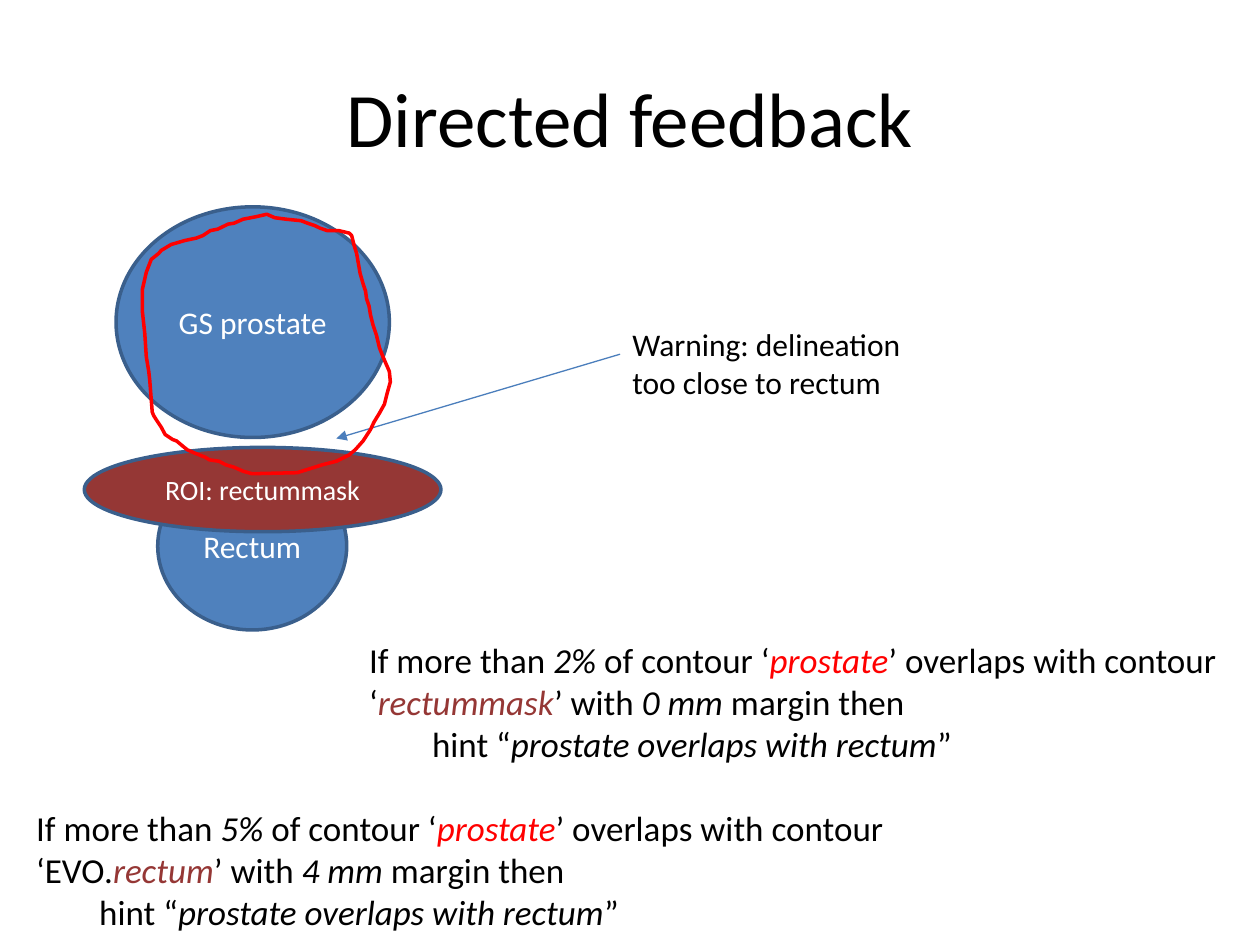
from pptx import Presentation, util as u
from pptx.dml.color import RGBColor
from pptx.enum import shapes, text
from pptx.oxml.ns import qn
from lxml import etree

Cm, Pt = u.Cm, u.Pt
FONT = "Calibri"
BLACK = RGBColor(0x00, 0x00, 0x00)
WHITE = RGBColor(0xFF, 0xFF, 0xFF)
RED = RGBColor(0xFF, 0x00, 0x00)
BLUE = RGBColor(0x4F, 0x81, 0xBD)
OUTLINE = RGBColor(0x3A, 0x5F, 0x8C)
ARROW = RGBColor(0x4B, 0x7E, 0xBC)
MAROON = RGBColor(0x95, 0x37, 0x35)

# Hand-drawn delineation, in cm from the diagram's top left corner
DELINEATION = [
    (3.68, 0.15), (3.46, 0.2), (3.2, 0.25), (3.02, 0.33), (2.9, 0.35), (2.69, 0.45),
    (2.54, 0.48), (2.39, 0.58), (2.26, 0.63), (2.03, 0.68), (1.75, 0.76), (1.55, 0.88),
    (1.5, 0.94), (1.35, 1.06), (1.25, 1.32), (1.17, 1.67), (1.17, 2.1), (1.22, 2.56),
    (1.25, 3.02), (1.3, 3.32), (1.32, 3.5), (1.37, 4.14), (1.4, 4.21), (1.45, 4.29),
    (1.55, 4.44), (1.63, 4.59), (1.78, 4.69), (1.86, 4.72), (1.98, 4.82), (2.08, 4.9),
    (2.24, 4.97), (2.44, 5.05), (2.52, 5.1), (2.72, 5.13), (2.85, 5.2), (3.02, 5.25),
    (3.2, 5.33), (3.38, 5.38), (4.29, 5.36), (4.55, 5.28), (4.8, 5.2), (5.08, 5.13),
    (5.18, 5.08), (5.34, 5), (5.46, 4.9), (5.62, 4.72), (5.77, 4.49), (5.84, 4.34),
    (5.95, 4.16), (6.05, 3.98), (6.1, 3.78), (6.17, 3.53), (6.15, 3.32), (6.12, 3.25),
    (6.02, 3.02), (5.95, 2.84), (5.89, 2.59), (5.82, 2.38), (5.77, 2.18), (5.74, 2),
    (5.69, 1.85), (5.67, 1.7), (5.62, 1.55), (5.56, 1.34), (5.49, 0.94), (5.44, 0.78),
    (5.39, 0.58), (5.34, 0.53), (5.13, 0.48), (4.9, 0.48), (4.75, 0.43), (4.65, 0.38),
    (4.5, 0.33), (4.37, 0.28), (4.07, 0.25), (3.84, 0.22),
]


def add_run(paragraph, words, size, color=BLACK, italic=False):
    run = paragraph.add_run()
    run.text = words
    run.font.name = FONT
    run.font.size = Pt(size)
    run.font.italic = italic
    run.font.color.rgb = color


def add_title(slide, box, words):
    title = slide.shapes.title
    title.left, title.top, title.width, title.height = map(Cm, box)
    title.text_frame.vertical_anchor = text.MSO_ANCHOR.MIDDLE
    paragraph = title.text_frame.paragraphs[0]
    paragraph.alignment = text.PP_ALIGN.CENTER
    add_run(paragraph, words, 44)


def add_text_box(slide, box, wrap=True):
    """Add an empty text box and return its first paragraph."""
    frame = slide.shapes.add_textbox(*map(Cm, box)).text_frame
    frame.word_wrap = wrap
    frame.auto_size = text.MSO_AUTO_SIZE.SHAPE_TO_FIT_TEXT
    return frame.paragraphs[0]


def add_organ(slide, box, label, fill, size):
    organ = slide.shapes.add_shape(shapes.MSO_SHAPE.OVAL, *map(Cm, box))
    organ.shadow.inherit = False
    organ.fill.solid()
    organ.fill.fore_color.rgb = fill
    organ.line.color.rgb = OUTLINE
    organ.line.width = Pt(2)
    organ.text_frame.vertical_anchor = text.MSO_ANCHOR.MIDDLE
    paragraph = organ.text_frame.paragraphs[0]
    paragraph.alignment = text.PP_ALIGN.CENTER
    add_run(paragraph, label, size, WHITE)


def add_organs(slide, left, top):
    add_organ(slide, (left + 0.64, top, 5.51, 4.65), "GS prostate", BLUE, 18)
    add_organ(slide, (left + 1.48, top + 5.15, 3.81, 3.38), "Rectum", BLUE, 18)
    add_organ(slide, (left, top + 4.85, 7.19, 1.7), "ROI: rectummask", MAROON, 16)


def add_delineation(slide, left, top):
    points = [(Cm(left + x), Cm(top + y)) for x, y in DELINEATION]
    builder = slide.shapes.build_freeform(*points[0])
    builder.add_line_segments(points[1:], close=True)
    contour = builder.convert_to_shape()
    contour.shadow.inherit = False
    contour.fill.background()
    contour.line.color.rgb = RED
    contour.line.width = Pt(2)


def add_warning(slide, left, top):
    """Warning text with an arrow from its left edge to the overlap."""
    arrow = slide.shapes.add_connector(
        shapes.MSO_CONNECTOR.STRAIGHT,
        Cm(left - 5.72), Cm(top + 2.41), Cm(left), Cm(top + 0.71))
    arrow.line.color.rgb = ARROW
    arrow.line.width = Pt(0.75)
    line = arrow.line._get_or_add_ln()
    etree.SubElement(line, qn("a:headEnd"), type="triangle")
    etree.SubElement(arrow._element.spPr, qn("a:effectLst"))

    paragraph = add_text_box(slide, (left, top, 6.15, 1.8), wrap=False)
    add_run(paragraph, "Warning: delineation ", 18)
    paragraph.add_line_break()
    add_run(paragraph, "too close to rectum", 18)


def add_rule(slide, left, top, share, prefix, region, margin):
    """Feedback rule: an overlap condition and its hint."""
    paragraph = add_text_box(slide, (left, top, 17.96, 2.82))
    condition = [
        ("If more than ", BLACK, False), (share, BLACK, True),
        (" of contour ‘", BLACK, False), ("prostate", RED, True),
        ("’ overlaps with contour ‘" + prefix, BLACK, False), (region, MAROON, True),
        ("’ with ", BLACK, False), (margin, BLACK, True),
        (" margin then", BLACK, False),
    ]
    hint = [
        ("\thint “", BLACK, False), ("prostate overlaps with rectum", BLACK, True),
        ("”", BLACK, False),
    ]
    for words, color, italic in condition:
        add_run(paragraph, words, 20, color, italic)
    paragraph.add_line_break()
    for words, color, italic in hint:
        add_run(paragraph, words, 20, color, italic)


def main():
    presentation = Presentation()
    presentation.slide_width, presentation.slide_height = Cm(25.4), Cm(19.05)
    slide = presentation.slides.add_slide(presentation.slide_layouts[5])

    add_title(slide, (1.27, 0.76, 22.86, 3.18), "Directed feedback")

    # Diagram
    add_organs(slide, 1.7, 4.17)
    add_warning(slide, 12.5, 6.43)
    add_delineation(slide, 1.7, 4.17)

    # Feedback rules
    add_rule(slide, 7.19, 12.75, "2%", "", "rectummask", "0 mm")
    add_rule(slide, 0.48, 16.13, "5%", "EVO.", "rectum", "4 mm")

    presentation.save("out.pptx")


if __name__ == "__main__":
    main()
